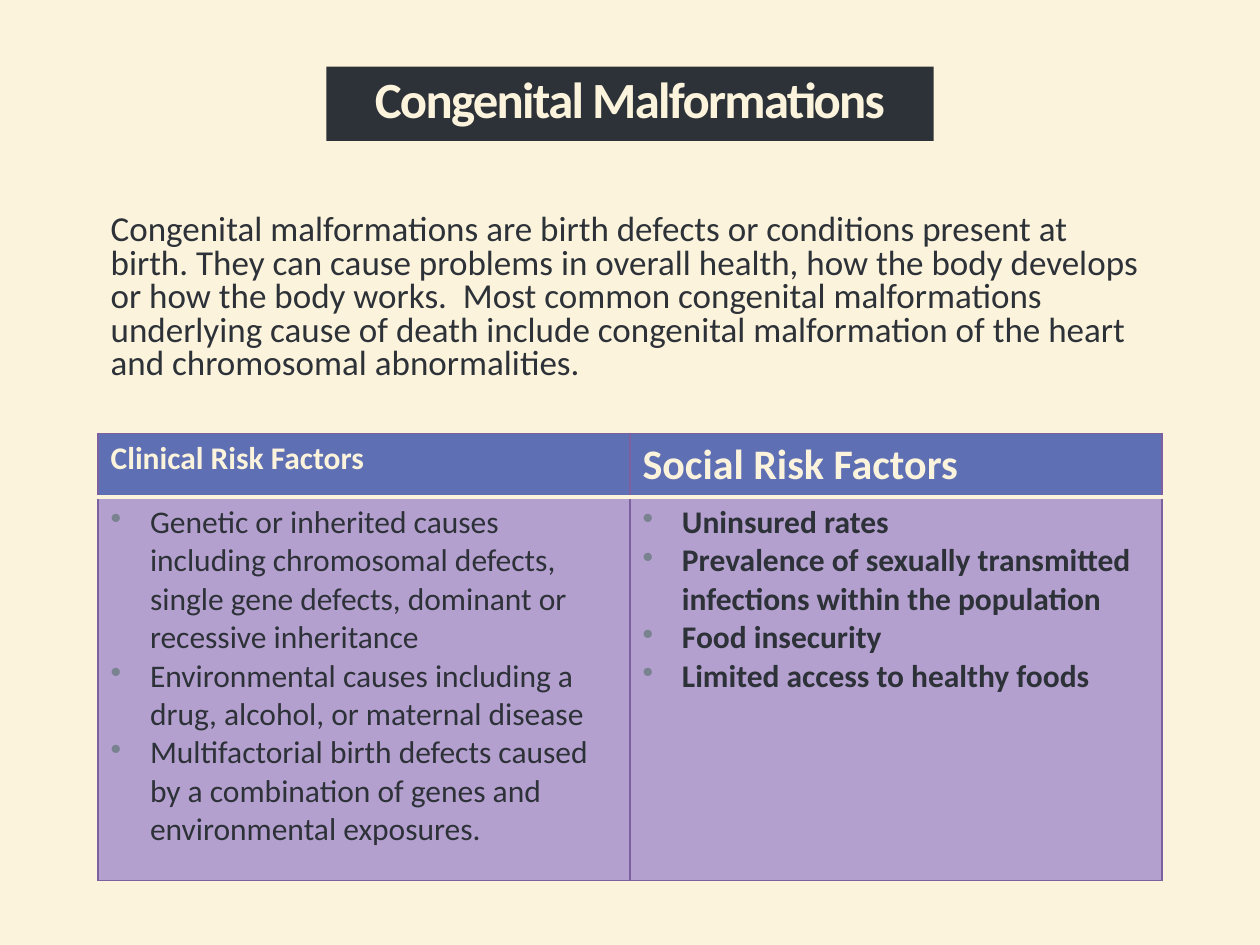
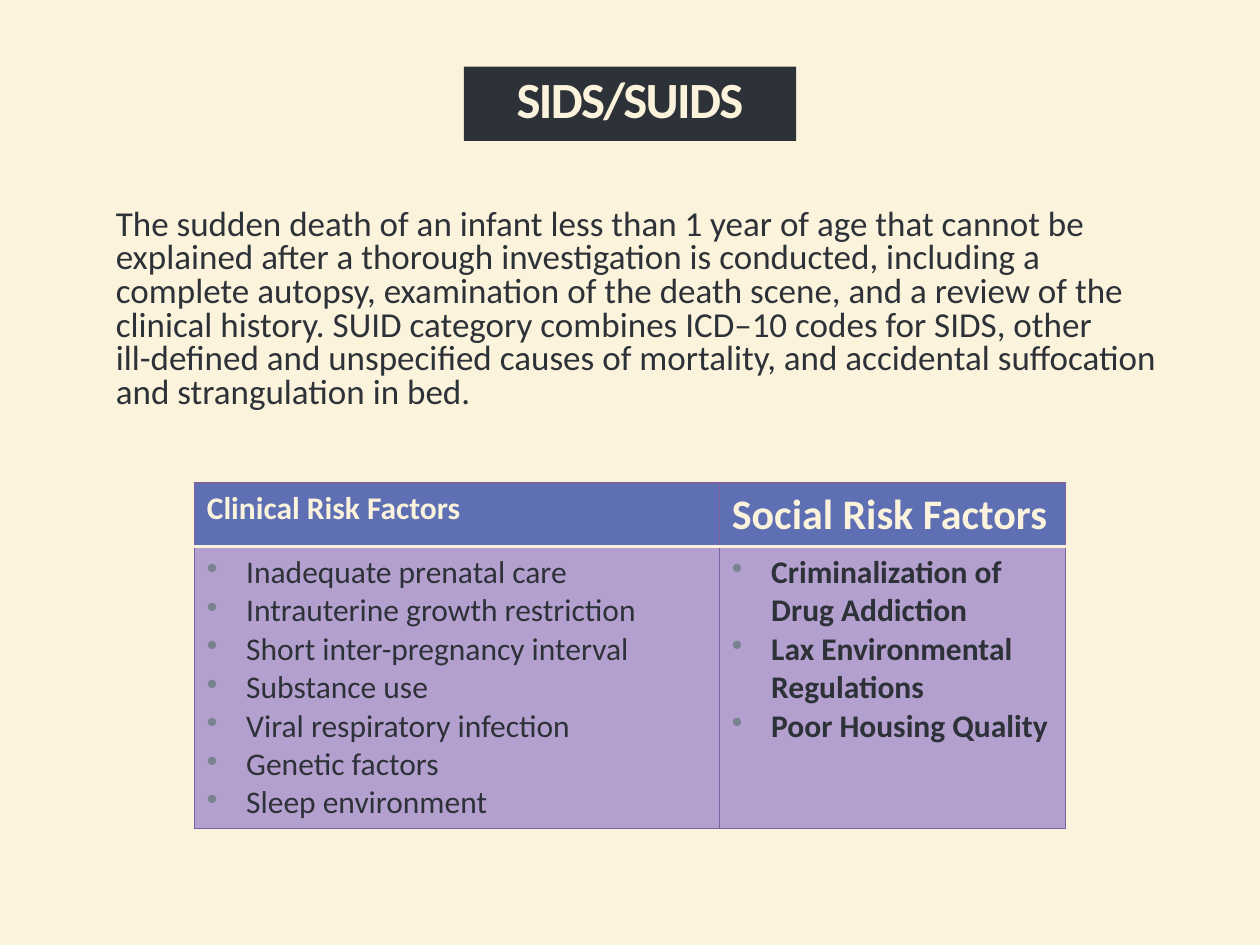
from lxml import etree
from pptx import Presentation
from pptx.dml.color import RGBColor
from pptx.enum.text import MSO_ANCHOR, MSO_AUTO_SIZE, PP_ALIGN
from pptx.oxml.ns import qn
from pptx.util import Pt

CREAM = RGBColor(0xFB, 0xF3, 0xDB)
INK = RGBColor(0x2D, 0x31, 0x38)
HEADER_BLUE = RGBColor(0x5E, 0x6F, 0xB4)
LILAC = RGBColor(0xB4, 0xA0, 0xCF)
BORDER_PURPLE = RGBColor(0x7D, 0x60, 0xA0)
BULLET_GREY = RGBColor(0x79, 0x83, 0x90)
FONT = "Calibri"
CENTER, LEFT = PP_ALIGN.CENTER, PP_ALIGN.LEFT
MIDDLE, TOP = MSO_ANCHOR.MIDDLE, MSO_ANCHOR.TOP
NO_AUTOFIT = MSO_AUTO_SIZE.NONE

SLIDE_WIDTH, SLIDE_HEIGHT = 720, 540
TITLE_TOP, TITLE_HEIGHT = 38, 42.5
HEADER_HEIGHT = 36.5
BULLET_INDENT = 22.5
HEADERS = (("Clinical Risk Factors", 18), ("Social Risk Factors", 24))

CONDITIONS = [
    {
        "title": "Congenital Malformations",
        "title_width": 347,
        "summary": "Congenital malformations are birth defects or conditions present at birth. "
                   "They can cause problems in overall health, how the body develops or how the "
                   "body works.  Most common congenital malformations underlying cause of death "
                   "include congenital malformation of the heart and chromosomal abnormalities.",
        "summary_box": (56, 119, 608, 108),
        "table_top": 247.5,
        "column_widths": (304, 304),
        "factors_height": 219,
        "factors": (
            ["Genetic or inherited causes including chromosomal defects, single gene defects, "
             "dominant or recessive inheritance",
             "Environmental causes including a drug, alcohol, or maternal disease",
             "Multifactorial birth defects caused by a combination of genes and "
             "environmental exposures."],
            ["Uninsured rates",
             "Prevalence of sexually transmitted infections within the population",
             "Food insecurity",
             "Limited access to healthy foods"],
        ),
    },
    {
        "title": "SIDS/SUIDS",
        "title_width": 190,
        "summary": "The sudden death of an infant less than 1 year of age that cannot be explained "
                   "after a thorough investigation is conducted, including a complete autopsy, "
                   "examination of the death scene, and a review of the clinical history. SUID "
                   "category combines ICD–10 codes for SIDS, other\v"
                   "ill-defined and unspecified causes of mortality, and accidental suffocation "
                   "and strangulation in bed.",
        "summary_box": (59, 116, 612, 119),
        "table_top": 276,
        "column_widths": (300, 198),
        "factors_height": 161,
        "factors": (
            ["Inadequate prenatal care",
             "Intrauterine growth restriction",
             "Short inter-pregnancy interval",
             "Substance use",
             "Viral respiratory infection",
             "Genetic factors",
             "Sleep environment"],
            ["Criminalization of Drug Addiction",
             "Lax Environmental Regulations",
             "Poor Housing Quality"],
        ),
    },
]


def place(shape, left, top, width, height):
    """Move and size a shape, in points."""
    shape.left, shape.top = Pt(left), Pt(top)
    shape.width, shape.height = Pt(width), Pt(height)


def format_runs(paragraph, size, color, bold=False):
    """Give every run of a paragraph the deck font."""
    for run in paragraph.runs:
        run.font.name = FONT
        run.font.size = Pt(size)
        run.font.bold = bold
        run.font.color.rgb = color


def fill_placeholder(shape, text, size, color, bold, alignment, anchor):
    """Write one tightly spaced paragraph into a placeholder."""
    frame = shape.text_frame
    frame.text = text
    frame.word_wrap = True
    frame.auto_size = NO_AUTOFIT
    frame.vertical_anchor = anchor
    paragraph = frame.paragraphs[0]
    paragraph.alignment = alignment
    paragraph.line_spacing = 0.8
    paragraph.space_before = Pt(0)
    format_runs(paragraph, size, color, bold)
    return paragraph


def add_title(slide, text, width):
    """Place the dark title band, centred on the slide."""
    title = slide.shapes.title
    place(title, (SLIDE_WIDTH - width) / 2, TITLE_TOP, width, TITLE_HEIGHT)
    title.fill.solid()
    title.fill.fore_color.rgb = INK
    paragraph = fill_placeholder(title, text, 29, CREAM, True, CENTER, MIDDLE)
    for run in paragraph.runs:
        run.font._element.set("spc", "-100")


def add_summary(slide, text, box):
    """Place the plain summary paragraph in its box."""
    body = slide.placeholders[1]
    place(body, *box)
    paragraph = fill_placeholder(body, text, 20, INK, False, LEFT, TOP)
    properties = paragraph._p.get_or_add_pPr()
    properties.set("marL", "0")
    properties.set("indent", "0")
    etree.SubElement(properties, qn("a:buNone"))


def add_bullet(paragraph):
    """Give a paragraph a grey bullet and hanging indent."""
    properties = paragraph._p.get_or_add_pPr()
    properties.set("marL", str(Pt(BULLET_INDENT)))
    properties.set("indent", str(-Pt(BULLET_INDENT)))
    bullet_color = etree.SubElement(properties, qn("a:buClr"))
    etree.SubElement(bullet_color, qn("a:srgbClr"), val=str(BULLET_GREY))
    etree.SubElement(properties, qn("a:buChar"), char="•")


def style_cell(cell, fill_color, divider_side):
    """Draw the borders of a cell, with a cream divider on one side, and fill it."""
    properties = cell._tc.get_or_add_tcPr()
    for side in ("lnL", "lnR", "lnT", "lnB"):
        color, width = (CREAM, 2) if side == divider_side else (BORDER_PURPLE, 0.75)
        line = etree.SubElement(properties, qn(f"a:{side}"), w=str(Pt(width)))
        line_fill = etree.SubElement(line, qn("a:solidFill"))
        etree.SubElement(line_fill, qn("a:srgbClr"), val=str(color))
    cell.fill.solid()
    cell.fill.fore_color.rgb = fill_color


def add_factor_table(slide, top, column_widths, factors_height, factors):
    """Add the centred table of clinical and social risk factors."""
    width = sum(column_widths)
    frame = slide.shapes.add_table(2, 2, Pt((SLIDE_WIDTH - width) / 2), Pt(top),
                                   Pt(width), Pt(HEADER_HEIGHT + factors_height))
    table = frame.table
    table.horz_banding = False
    table.rows[0].height = Pt(HEADER_HEIGHT)
    table.rows[1].height = Pt(factors_height)
    for index, ((header, size), items) in enumerate(zip(HEADERS, factors)):
        table.columns[index].width = Pt(column_widths[index])
        header_cell, factor_cell = table.cell(0, index), table.cell(1, index)
        style_cell(header_cell, HEADER_BLUE, "lnB")
        style_cell(factor_cell, LILAC, "lnT")
        header_cell.text_frame.text = header
        format_runs(header_cell.text_frame.paragraphs[0], size, CREAM, True)
        factor_cell.text_frame.text = "\n".join(items)
        for paragraph in factor_cell.text_frame.paragraphs:
            add_bullet(paragraph)
            format_runs(paragraph, 18, INK, bold=index == 1)


def add_condition_slide(presentation, condition):
    """Add a slide with title, summary and risk factor table."""
    slide = presentation.slides.add_slide(presentation.slide_layouts[1])
    add_title(slide, condition["title"], condition["title_width"])
    add_summary(slide, condition["summary"], condition["summary_box"])
    add_factor_table(slide, condition["table_top"], condition["column_widths"],
                     condition["factors_height"], condition["factors"])


def main():
    """Build and save the presentation."""
    presentation = Presentation()
    presentation.slide_width, presentation.slide_height = Pt(SLIDE_WIDTH), Pt(SLIDE_HEIGHT)
    background = presentation.slide_master.background.fill
    background.solid()
    background.fore_color.rgb = CREAM
    for condition in CONDITIONS:
        add_condition_slide(presentation, condition)
    presentation.save("out.pptx")


if __name__ == "__main__":
    main()
